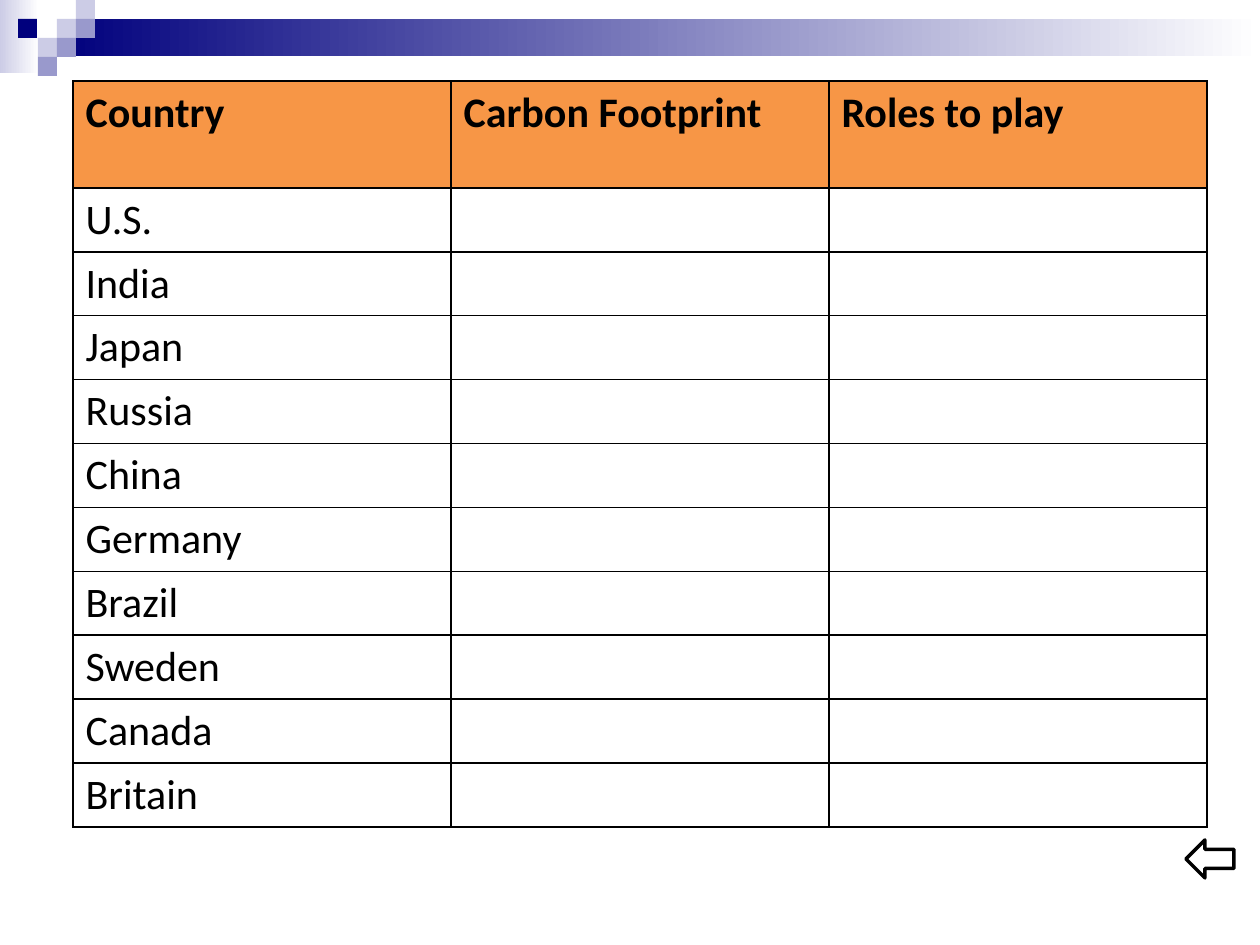
"""Build the country carbon footprint table slide."""
from lxml.etree import SubElement
from pptx import Presentation
from pptx.dml.color import RGBColor
from pptx.enum.shapes import MSO_SHAPE
from pptx.oxml.ns import qn
from pptx.util import Emu, Pt

COLORS = {"navy": "00007D", "violet": "9999CC", "lavender": "CCCCE6",
          "white": "FFFFFF", "black": "000000", "orange": "F79646"}
HEADINGS = ["Country", "Carbon Footprint", "Roles to play"]
COUNTRIES = ["U.S.", "India", "Japan", "Russia", "China", "Germany",
             "Brazil", "Sweden", "Canada", "Britain"]
TILE = 19
TILE_LEFTS = [18, 38, 57, 76]
TILES = [(2, 1, "lavender"), (3, 0, "lavender"), (3, 1, "violet"),
         (1, 2, "lavender"), (0, 1, "navy"), (2, 2, "violet"),
         (1, 3, "violet")]


def px(length):
    return Emu(round(length * 914400 / 126))


def rgb(name):
    return RGBColor.from_string(COLORS[name])


class SlideBuilder:
    """Draws styled elements on the current slide."""

    font = "Calibri"
    size = Pt(24)

    def __init__(self, slide):
        self.slide = slide

    def shape(self, kind, box, fill, line=None):
        shape = self.slide.shapes.add_shape(kind, *map(px, box))
        shape.shadow.inherit = False
        shape.fill.solid()
        shape.fill.fore_color.rgb = rgb(fill)
        if line:
            shape.line.color.rgb = rgb(line)
            shape.line.width = Pt(2)
        else:
            shape.line.fill.background()
        return shape

    def fade(self, box, start):
        band = self.shape(MSO_SHAPE.RECTANGLE, box, start)
        band.fill.gradient()
        band.fill.gradient_angle = 0
        for stop, color, position in zip(band.fill.gradient_stops, (start, "white"), (0, 1)):
            stop.color.rgb = rgb(color)
            stop.position = position

    def borders(self, cell):
        properties = cell._tc.get_or_add_tcPr()
        for index, side in enumerate(("lnL", "lnR", "lnT", "lnB")):
            border = SubElement(properties, qn(f"a:{side}"), w=str(Pt(1)))
            properties.insert(index, border)
            solid = SubElement(border, qn("a:solidFill"))
            SubElement(solid, qn("a:srgbClr"), val=COLORS["black"])

    def cell(self, cell, text, heading):
        if heading:
            cell.fill.solid()
            cell.fill.fore_color.rgb = rgb("orange")
        else:
            cell.fill.background()
        self.borders(cell)
        cell.text_frame.text = text
        paragraph = cell.text_frame.paragraphs[0]
        for font in [paragraph.font] + [run.font for run in paragraph.runs]:
            font.name = self.font
            font.size = self.size
            font.bold = heading
            font.color.rgb = rgb("black")

    def table(self, box, rows, heading_height, row_height):
        table = self.slide.shapes.add_table(len(rows), len(rows[0]), *map(px, box)).table
        table.horz_banding = False
        for index, texts in enumerate(rows):
            table.rows[index].height = px(row_height if index else heading_height)
            for column, text in enumerate(texts):
                self.cell(table.cell(index, column), text, index == 0)


def main():
    deck = Presentation()
    deck.slide_width, deck.slide_height = px(1260), px(945)
    builder = SlideBuilder(deck.slides.add_slide(deck.slide_layouts[6]))
    builder.fade((0, 0, 39, 73), "lavender")
    builder.fade((57, 19, 1203, 37), "navy")
    for column, row, color in TILES:
        builder.shape(MSO_SHAPE.RECTANGLE, (TILE_LEFTS[column], row * TILE, TILE, TILE), color)
    rows = [HEADINGS] + [[country, "", ""] for country in COUNTRIES]
    builder.table((73, 81, 1134, 727), rows, 107, 62)
    builder.shape(MSO_SHAPE.LEFT_ARROW, (1186, 840, 48, 38), "white", "black")
    deck.save("out.pptx")


if __name__ == "__main__":
    main()
